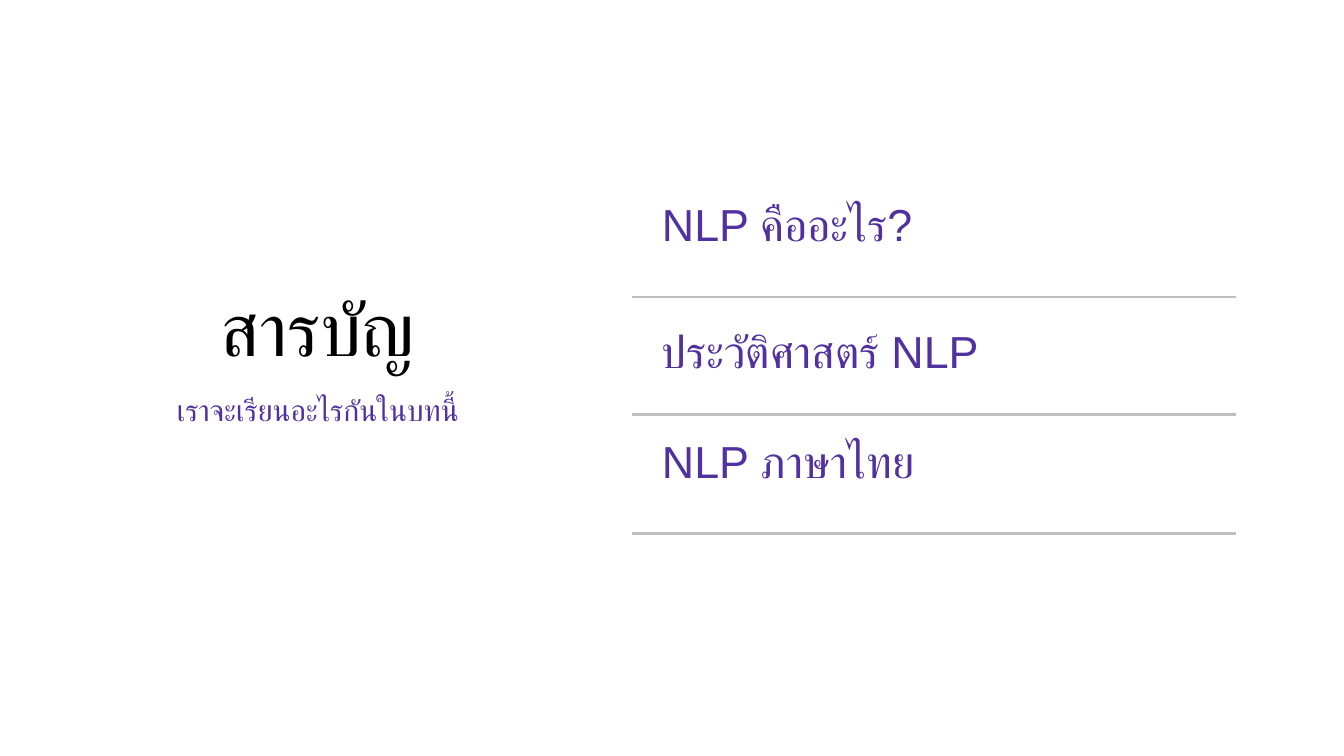
import pptx
import pptx.dml.color
import pptx.enum.shapes
import pptx.enum.text
import pptx.oxml
import pptx.oxml.ns
import pptx.util
from lxml import etree

PX = 4572  # EMU, 200 px to the inch
FONT = "Arial"
BLACK = pptx.dml.color.RGBColor(0x00, 0x00, 0x00)
PURPLE = pptx.dml.color.RGBColor(0x50, 0x31, 0x9F)
GREY = pptx.dml.color.RGBColor(0xBF, 0xBF, 0xBF)
TOP = pptx.enum.text.MSO_ANCHOR.TOP
MIDDLE = pptx.enum.text.MSO_ANCHOR.MIDDLE
LEFT = pptx.enum.text.PP_ALIGN.LEFT
CENTER = pptx.enum.text.PP_ALIGN.CENTER

# Text, its top and the top of the rule below it, within the contents box
TOPICS = [
    ("NLP คืออะไร?", 0, 149),
    ("ประวัติศาสตร์ NLP", 189, 324),
    ("NLP ภาษาไทย", 354, 501),
]


def px(length):
    return pptx.util.Emu(length * PX)


def fill_placeholder(holder, box, text, size, color, align=CENTER,
                     anchor=TOP, margin=0, indent=0):
    holder.left, holder.top, holder.width, holder.height = map(px, box)
    frame = holder.text_frame
    frame.word_wrap = True
    frame.auto_size = pptx.enum.text.MSO_AUTO_SIZE.NONE
    frame.vertical_anchor = anchor
    frame.margin_left = frame.margin_right = px(15)
    frame.margin_top = frame.margin_bottom = px(8)

    para = frame.paragraphs[0]
    properties = para._p.get_or_add_pPr()
    properties.set("marL", str(px(margin)))
    properties.set("indent", str(px(indent)))
    etree.SubElement(properties, pptx.oxml.ns.qn("a:buNone"))
    para.alignment = align
    para.line_spacing = 0.9
    para.space_before = pptx.util.Pt(0)

    span = para.add_run()
    span.text = text
    span.font.name = FONT
    span.font.size = pptx.util.Pt(size)
    span.font.bold = False
    span.font.color.rgb = color
    complex_script = etree.SubElement(span.font._element, pptx.oxml.ns.qn("a:cs"))
    complex_script.set("typeface", FONT)


def add_rule(page, left, top, width):
    rule = page.shapes.add_connector(
        pptx.enum.shapes.MSO_CONNECTOR.STRAIGHT,
        px(left), px(top), px(left + width), px(top))
    rule.line.color.rgb = GREY
    rule.line.width = pptx.util.Pt(1.5)
    etree.SubElement(rule._element.spPr, pptx.oxml.ns.qn("a:effectLst"))


def place_heading(title, subtitle, box):
    left, top, width, height = box
    fill_placeholder(title, (left, top, width, 166), "สารบัญ", 40, BLACK,
                     anchor=MIDDLE)
    fill_placeholder(subtitle, (left, top + 169, width, height - 169),
                     "เราจะเรียนอะไรกันในบทนี้", 16, PURPLE)


def place_contents(page, holders, box):
    left, top, width, _ = box
    for holder, (text, text_top, rule_top) in zip(holders, TOPICS):
        fill_placeholder(holder, (left, top + text_top, width, 128), text, 24,
                         PURPLE, align=LEFT, margin=38, indent=-8)
        add_rule(page, left, top + rule_top, width)


def main():
    deck = pptx.Presentation()
    deck.slide_width, deck.slide_height = px(2000), px(1125)
    page = deck.slides.add_slide(deck.slide_layouts.get_by_name("Comparison"))
    title, *topics, subtitle = page.placeholders
    place_heading(title, subtitle, (204, 412, 538, 241))
    place_contents(page, topics, (940, 293, 900, 501))
    deck.save("out.pptx")


if __name__ == "__main__":
    main()
